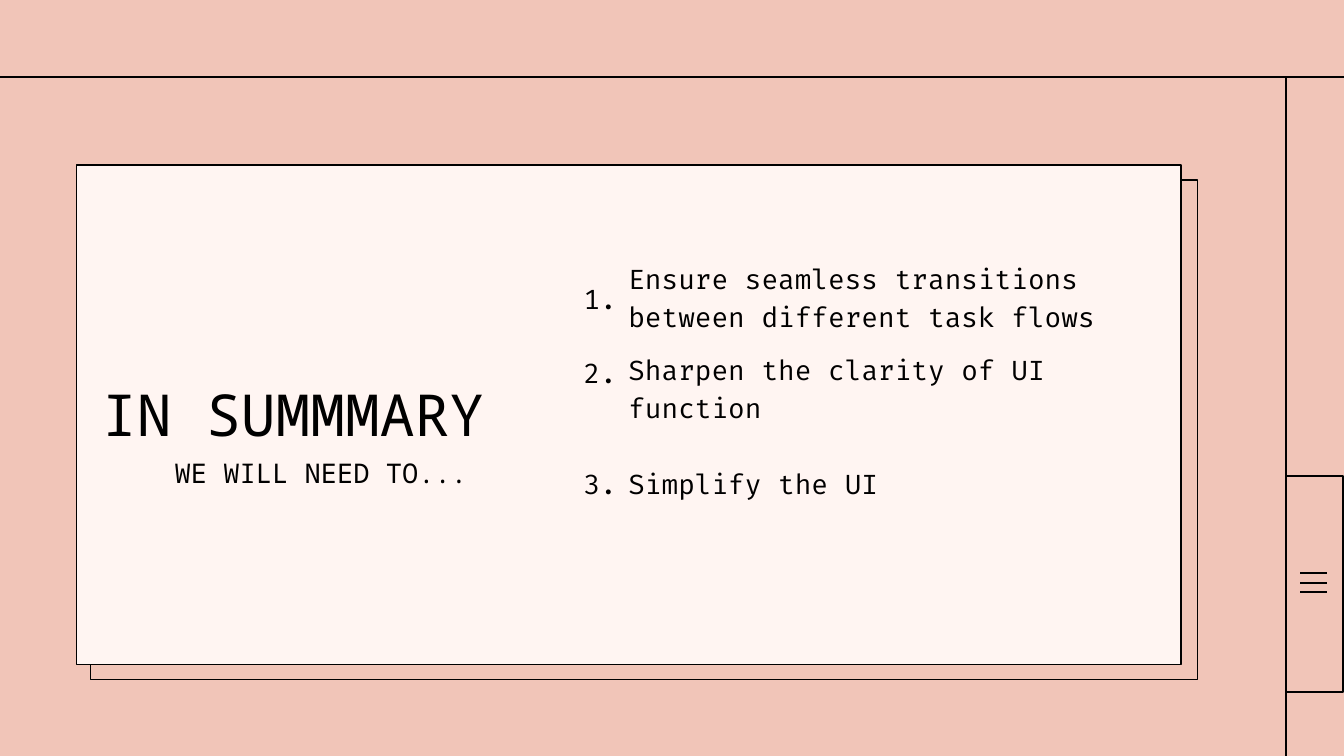
from lxml import etree
from pptx import Presentation
from pptx import util as u
from pptx.dml.color import RGBColor
from pptx.enum import shapes, text
from pptx.oxml.ns import qn

COLORS = {"background": "F1C5B8", "panel": "FFF5F2", "ink": "000000"}
WIDTH, HEIGHT = 1440, 810
RULE_Y, RULE_X = 82.8, 1377.4
NUMBER_X, ITEM_X = 560.2, 673.2
ITEMS = [
    ("Ensure seamless transitions between different task flows", 275.8, 296.6, 522.7, 80),
    ("Sharpen the clarity of UI function", 373, 375.8, 565.2, 80),
    ("Simplify the UI", 494.6, 494.6, 408.2, 39),
]


def rgb(name):
    return RGBColor.from_string(COLORS[name])


def add_frame(s, x, y, w, h, fill=None, weight=1.6):
    sp = s.shapes.add_shape(shapes.MSO_SHAPE.RECTANGLE, u.Pt(x), u.Pt(y), u.Pt(w), u.Pt(h))
    sp.shadow.inherit = False
    if fill:
        sp.fill.solid()
        sp.fill.fore_color.rgb = rgb(fill)
    else:
        sp.fill.background()
    sp.line.color.rgb = rgb("ink")
    sp.line.width = u.Pt(weight)


def add_rule(s, x1, y1, x2, y2):
    line = s.shapes.add_connector(
        shapes.MSO_CONNECTOR.STRAIGHT, u.Pt(x1), u.Pt(y1), u.Pt(x2), u.Pt(y2))
    line.line.color.rgb = rgb("ink")
    line.line.width = u.Pt(2.25)
    etree.SubElement(line._element.spPr, qn("a:effectLst"))


def add_text(s, content, x, y, w, h, size=29, font="Fira Code", spacing=40.6,
             align=text.PP_ALIGN.LEFT):
    box = s.shapes.add_textbox(u.Pt(x), u.Pt(y), u.Pt(w), u.Pt(h))
    tf = box.text_frame
    tf.word_wrap = True
    tf.margin_left = tf.margin_top = tf.margin_right = tf.margin_bottom = 0
    p = tf.paragraphs[0]
    p.alignment = align
    p.line_spacing = u.Pt(spacing)
    r = p.add_run()
    r.text = content
    r.font.size = u.Pt(size)
    r.font.name = font
    r.font.color.rgb = rgb("ink")


def add_list(s):
    for number, (item, item_y, number_y, w, h) in enumerate(ITEMS, 1):
        add_text(s, f"{number}.", NUMBER_X, number_y, 100.8, 39, align=text.PP_ALIGN.RIGHT)
        add_text(s, item, ITEM_X, item_y, w, h)


def add_menu_tab(s):
    add_frame(s, 1378.1, 509.8, 60.9, 231.5, fill="background", weight=1.75)
    for i in range(3):
        y = 614.2 + i * 10.1
        add_rule(s, 1393.2, y, 1422, y)


def main():
    prs = Presentation()
    prs.slide_width, prs.slide_height = u.Pt(WIDTH), u.Pt(HEIGHT)
    s = prs.slides.add_slide(prs.slide_layouts[6])
    s.background.fill.solid()
    s.background.fill.fore_color.rgb = rgb("background")

    add_frame(s, 97.2, 193, 1186, 535.3)
    add_frame(s, 82.1, 176.7, 1183.3, 535.3, fill="panel")
    add_list(s)
    add_text(s, "IN SUMMMARY", 109.4, 406.1, 466.6, 74.9,
             size=62, font="Noto Sans Mono", spacing=74.4)
    add_text(s, "WE WILL NEED TO...", 187.2, 483.8, 486.7, 39, font="Noto Sans Mono")
    add_rule(s, 0, RULE_Y, WIDTH, RULE_Y)
    add_rule(s, RULE_X, RULE_Y, RULE_X, HEIGHT)
    add_menu_tab(s)
    prs.save("out.pptx")


if __name__ == "__main__":
    main()
